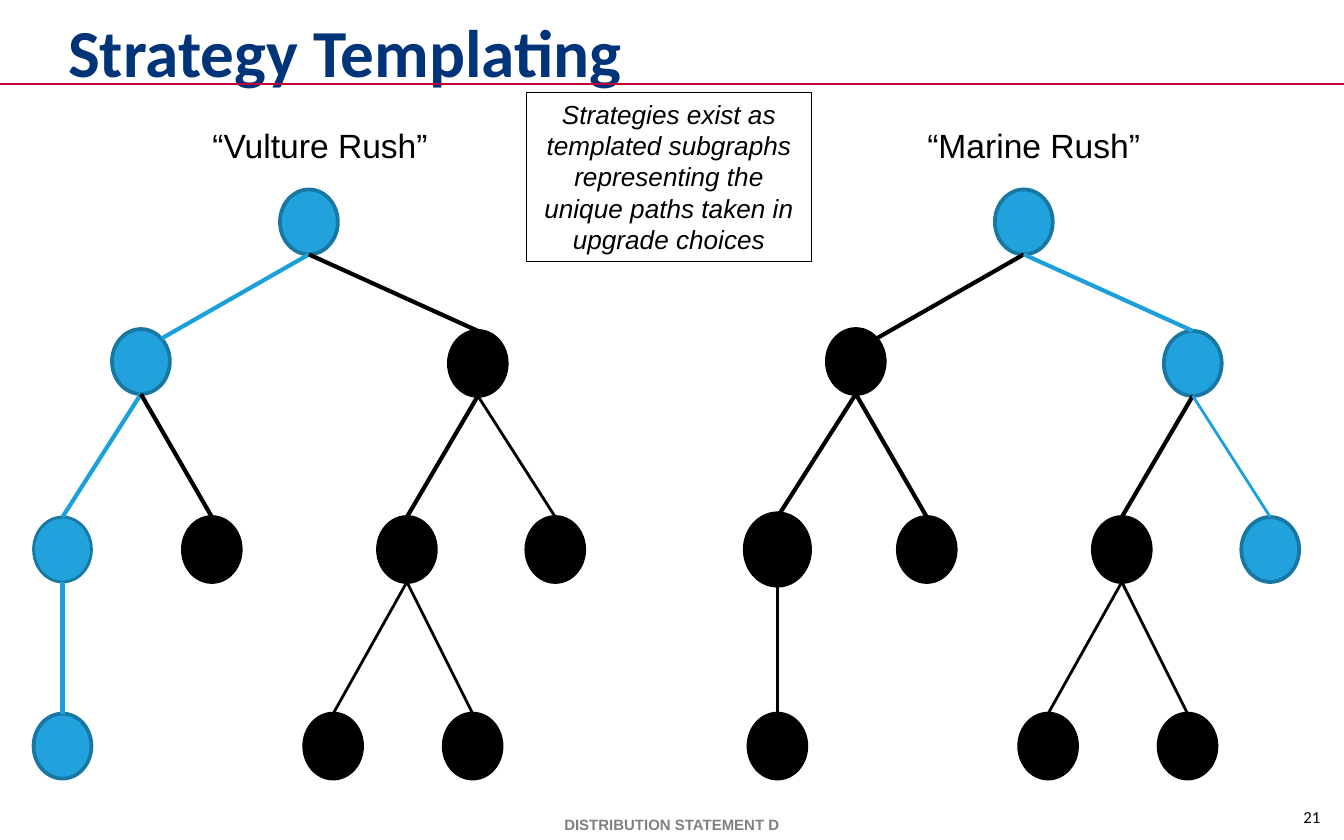
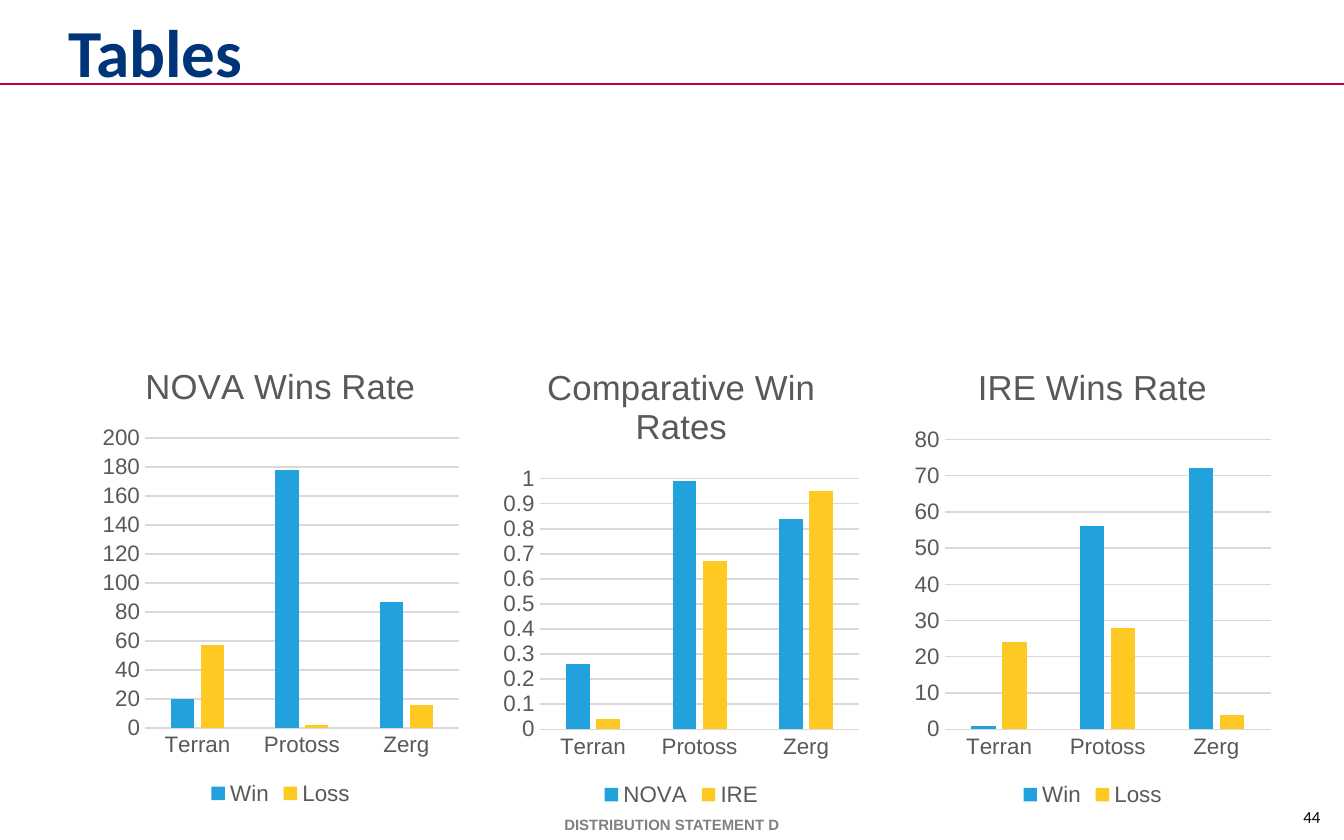
from math import sqrt

from lxml.etree import SubElement
from pptx import Presentation
from pptx.chart.data import CategoryChartData
from pptx.dml.color import RGBColor
from pptx.enum.chart import XL_CHART_TYPE as ChartType, XL_LEGEND_POSITION as LegendSpot, XL_TICK_MARK as TickMark
from pptx.enum.shapes import MSO_CONNECTOR as Connector, MSO_SHAPE as Shape
from pptx.enum.text import MSO_ANCHOR as Anchor, MSO_AUTO_SIZE as AutoSize, PP_ALIGN as Align
from pptx.oxml.ns import qn
from pptx.util import Pt

NAVY = RGBColor(0x00, 0x34, 0x78)
CRIMSON = RGBColor(0xBF, 0x00, 0x39)
BLACK = RGBColor(0x00, 0x00, 0x00)
GRAY = RGBColor(0x80, 0x80, 0x80)
SLATE = RGBColor(0x59, 0x59, 0x59)
SILVER = RGBColor(0xD9, 0xD9, 0xD9)
BLUE = RGBColor(0x21, 0xA2, 0xDC)
EDGE_BLUE = RGBColor(0x1C, 0xA0, 0xDC)
RIM_BLUE = RGBColor(0x18, 0x78, 0xA3)
GOLD = RGBColor(0xFD, 0xC9, 0x22)

WIDTH, HEIGHT = 720, 450
RULE_TOP = 45.2
FOOTER = "DISTRIBUTION STATEMENT D"

NODE_WIDTH, NODE_HEIGHT = 31, 34.8
NODES = {
    "root": (150, 101.5),
    "left": (60, 176.3),
    "right": (240.5, 177.3),
    "left-left": (18, 277),
    "left-right": (98, 277),
    "right-left": (202.5, 277),
    "right-right": (282, 277),
    "left leaf": (18, 382.3),
    "right leaf 1": (163, 382.3),
    "right leaf 2": (237.7, 382.3),
}
BRANCHES = [
    ("root", "left"),
    ("root", "right"),
    ("left", "left-left"),
    ("left", "left-right"),
    ("right", "right-left"),
    ("right", "right-right"),
    ("left-left", "left leaf"),
    ("right-left", "right leaf 1"),
    ("right-left", "right leaf 2"),
]
THIN_BRANCHES = {"right-right", "right leaf 1", "right leaf 2"}
STRATEGIES = [
    {"label": "“Vulture Rush”", "label_left": 108, "offset": 0, "rims": {"left-left": 1.5},
     "chosen": {"root", "left", "left-left", "left leaf"}, "thin": THIN_BRANCHES},
    {"label": "“Marine Rush”", "label_left": 491, "offset": 383, "rims": {"left-left": 6},
     "chosen": {"root", "right", "right-right"}, "thin": THIN_BRANCHES | {"left leaf"}},
]
EXPLANATION = ("Strategies exist as templated subgraphs representing the "
               "unique paths taken in upgrade choices")

RACES = ["Terran", "Protoss", "Zerg"]
RESULTS = [
    ("NOVA Wins Rate", 51, 182.3, None, {"Win": (20, 178, 87), "Loss": (57, 2, 16)}),
    ("Comparative Win Rates", 265.7, 183, 1, {"NOVA": (0.26, 0.99, 0.84), "IRE": (0.04, 0.67, 0.95)}),
    ("IRE Wins Rate", 486, 183, None, {"Win": (1, 56, 72), "Loss": (24, 28, 4)}),
]


def points(*lengths):
    return [Pt(length) for length in lengths]


def style_font(font, size, color, name="Arial", bold=False, italic=False):
    font.size, font.name, font.bold, font.italic = Pt(size), name, bold, italic
    font.color.rgb = color


def write(shape, text, size, color, align=Align.LEFT, margins=(0, 0), wrap=True,
          anchor=Anchor.TOP, **style):
    frame = shape.text_frame
    frame.text = text
    frame.auto_size = AutoSize.NONE
    frame.word_wrap = wrap
    frame.vertical_anchor = anchor
    frame.margin_left = frame.margin_right = Pt(margins[0])
    frame.margin_top = frame.margin_bottom = Pt(margins[1])
    paragraph = frame.paragraphs[0]
    paragraph.alignment = align
    style_font(paragraph.font, size, color, **style)


def add_line(slide, start, end, color, weight):
    line = slide.shapes.add_connector(Connector.STRAIGHT, *points(*start, *end))
    line.line.color.rgb = color
    line.line.width = Pt(weight)
    SubElement(line._element.spPr, qn("a:effectLst"))


def add_page(deck, heading, number):
    slide = deck.slides.add_slide(deck.slide_layouts[5])
    page_number = slide.shapes.add_textbox(*points(685.5, 432, 34.5, 15))
    write(page_number, number, 9, BLACK, Align.CENTER, name="Calibri")
    footer = slide.shapes.add_textbox(*points(0, 433.4, WIDTH, 16.6))
    write(footer, FOOTER, 8, GRAY, Align.CENTER, (7.2, 3.6), anchor=Anchor.MIDDLE, bold=True)
    add_line(slide, (0, RULE_TOP), (WIDTH, RULE_TOP), CRIMSON, 1)
    title = slide.shapes.title
    title.left, title.top, title.width, title.height = points(36.5, 10, 649, 34.6)
    write(title, heading, 36, NAVY, anchor=Anchor.MIDDLE, name="Calibri", bold=True)
    return slide


def add_tree(slide, strategy):
    chosen, offset = strategy["chosen"], strategy["offset"]
    for node, (left, top) in NODES.items():
        circle = slide.shapes.add_shape(
            Shape.OVAL, *points(left + offset, top, NODE_WIDTH, NODE_HEIGHT))
        circle.shadow.inherit = False
        circle.fill.solid()
        circle.fill.fore_color.rgb = BLUE if node in chosen else BLACK
        circle.line.color.rgb = RIM_BLUE if node in chosen else BLACK
        circle.line.width = Pt(strategy["rims"].get(node, 2))

    for parent, child in BRANCHES:
        parent_left, parent_top = NODES[parent]
        child_left, child_top = NODES[child]
        start = (parent_left + offset + NODE_WIDTH / 2, parent_top + NODE_HEIGHT)
        end_x, end_y = child_left + offset + NODE_WIDTH / 2, child_top
        if child == "left":
            end_x += NODE_WIDTH / 2 / sqrt(2)
            end_y += NODE_HEIGHT / 2 * (1 - 1 / sqrt(2))
        add_line(slide, start, (end_x, end_y), EDGE_BLUE if child in chosen else BLACK,
                 1.5 if child in strategy["thin"] else 2.25)

    label = slide.shapes.add_textbox(*points(strategy["label_left"], 64, 128, 27.4))
    write(label, strategy["label"], 18, BLACK, margins=(5.8, 2.9), wrap=False)


def add_results(slide, heading, left, top, maximum, series):
    data = CategoryChartData()
    data.categories = RACES
    for name, values in series.items():
        data.add_series(name, values)
    chart = slide.shapes.add_chart(
        ChartType.COLUMN_CLUSTERED, *points(left, top, 198.7, 252), data).chart
    style_font(chart.font, 10, BLACK)
    chart.has_title = True
    chart.chart_title.include_in_layout = False
    chart.chart_title.text_frame.text = heading
    style_font(chart.chart_title.text_frame.paragraphs[0].font, 18.6, SLATE)
    chart.has_legend = True
    chart.legend.position = LegendSpot.BOTTOM
    chart.legend.include_in_layout = False
    style_font(chart.legend.font, 12, SLATE)

    races, scale = chart.category_axis, chart.value_axis
    for axis in (races, scale):
        axis.major_tick_mark = axis.minor_tick_mark = TickMark.NONE
        style_font(axis.tick_labels.font, 12, SLATE)
    scale.format.line.fill.background()
    if maximum:
        scale.maximum_scale = maximum
    for line in (races.format.line, scale.major_gridlines.format.line):
        line.color.rgb = SILVER
        line.width = Pt(0.75)

    plot = chart.plots[0]
    plot.gap_width, plot.overlap, plot.vary_by_categories = 219, -27, False
    for bars, color in zip(plot.series, (BLUE, GOLD)):
        bars.format.fill.solid()
        bars.format.fill.fore_color.rgb = color


def main():
    deck = Presentation()
    deck.slide_width, deck.slide_height = points(WIDTH, HEIGHT)

    templating = add_page(deck, "Strategy Templating", "21")
    for strategy in STRATEGIES:
        add_tree(templating, strategy)
    explanation = templating.shapes.add_shape(Shape.RECTANGLE, *points(282, 49.6, 152.8, 90.4))
    explanation.shadow.inherit = False
    explanation.fill.background()
    explanation.line.color.rgb = BLACK
    explanation.line.width = Pt(0.75)
    write(explanation, EXPLANATION, 14, BLACK, Align.CENTER, (5.8, 2.9), italic=True)

    tables = add_page(deck, "Tables", "44")
    for result in RESULTS:
        add_results(tables, *result)

    deck.save("out.pptx")


if __name__ == "__main__":
    main()
